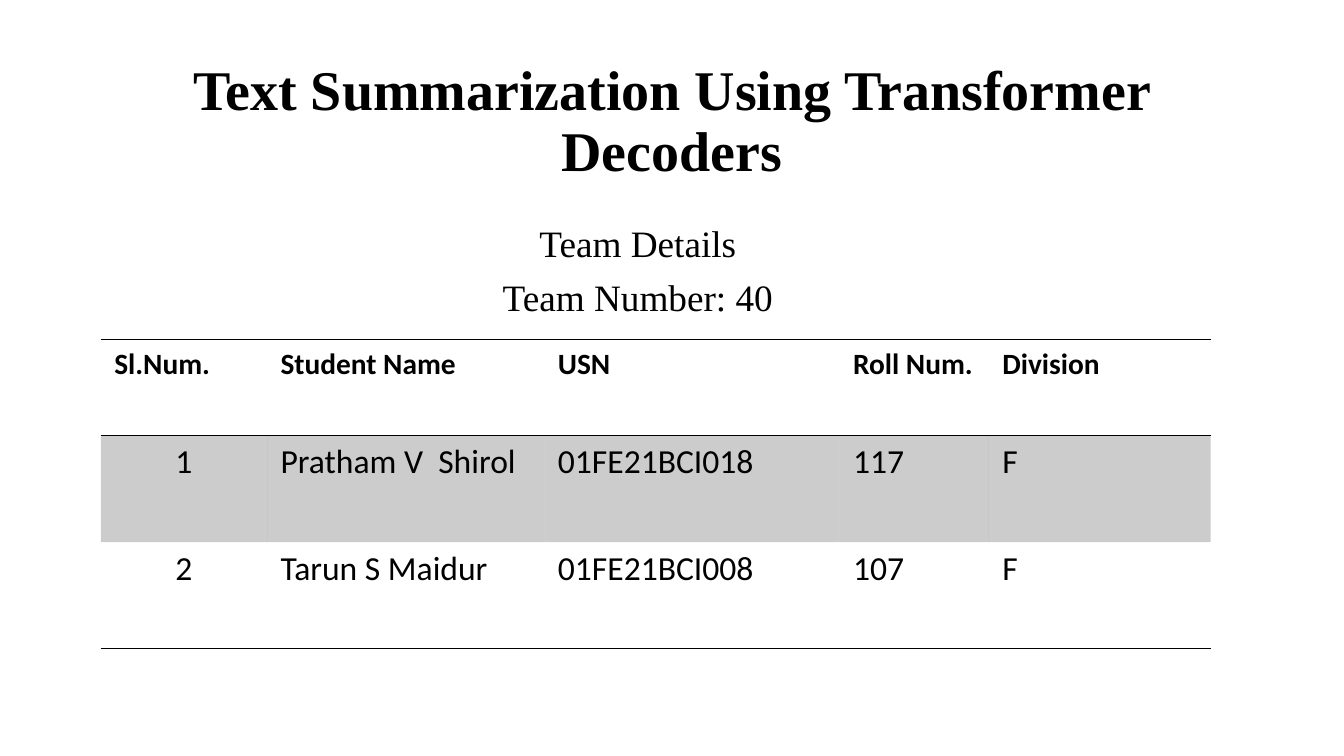
import pptx
import pptx.util
import pptx.dml.color
import pptx.enum.text
import pptx.oxml
import pptx.oxml.ns

Cm = pptx.util.Cm
Pt = pptx.util.Pt
ALIGN = pptx.enum.text.PP_ALIGN
ANCHOR = pptx.enum.text.MSO_ANCHOR
BLACK = pptx.dml.color.RGBColor(0, 0, 0)

SERIF = "Times New Roman"
SANS = "Calibri"
WIDTHS = [4.19, 6.99, 7.44, 3.76, 5.59]
HEIGHTS = [2.41, 2.69, 2.69]
RULES = {0, 1, 3}
ROWS = [
    ["Sl.Num.", "Student Name", "USN", "Roll Num.", "Division"],
    ["1", "Pratham V  Shirol", "01FE21BCI018", "117", "F"],
    ["2", "Tarun S Maidur", "01FE21BCI008", "107", "F"],
]


def apply(item, form):
    for name, value in form.items():
        setattr(item, name, value)


def write(para, text, font, form):
    run = para.add_run()
    run.text = text
    apply(run.font, font)
    run.font.color.rgb = BLACK
    apply(para, form)


def add_text(slide, box, lines, font, form, anchor):
    frame = slide.shapes.add_textbox(*map(Cm, box)).text_frame
    apply(frame, {"word_wrap": True, "vertical_anchor": anchor})
    for index, line in enumerate(lines):
        para = frame.add_paragraph() if index else frame.paragraphs[0]
        write(para, line, font, form)


def add_title(slide, box):
    font = {"name": SERIF, "size": Pt(40), "bold": True}
    form = {"alignment": ALIGN.CENTER, "line_spacing": 0.9}
    add_text(slide, box, ["Text Summarization Using Transformer Decoders"],
             font, form, ANCHOR.BOTTOM)


def add_team(slide, box):
    font = {"name": SERIF, "size": Pt(26.6)}
    form = {"alignment": ALIGN.CENTER, "line_spacing": 0.9,
            "space_before": Pt(10)}
    add_text(slide, box, ["Team Details", "Team Number: 40"],
             font, form, ANCHOR.TOP)


def set_edges(cell, row):
    shown = {"T": row in RULES, "B": row + 1 in RULES}
    props = cell._tc.get_or_add_tcPr()
    for spot, side in enumerate("LRTB"):
        if shown.get(side):
            paint = f'<a:solidFill><a:srgbClr val="{BLACK}"/></a:solidFill>'
        else:
            paint = "<a:noFill/>"
        edge = pptx.oxml.parse_xml(
            f'<a:ln{side} {pptx.oxml.ns.nsdecls("a")} w="{Pt(1)}">'
            f"{paint}</a:ln{side}>")
        props.insert(spot, edge)


def set_fill(cell, shade):
    if not shade:
        cell.fill.background()
        return
    cell.fill.solid()
    cell.fill.fore_color.rgb = BLACK
    color = cell._tc.tcPr.find(".//" + pptx.oxml.ns.qn("a:solidFill") + "[last()]")
    for node in cell._tc.tcPr.findall(pptx.oxml.ns.qn("a:solidFill")):
        color = node[0]
    color.append(pptx.oxml.parse_xml(
        f'<a:alpha {pptx.oxml.ns.nsdecls("a")} val="20000"/>'))


def add_students(slide, box):
    frame = slide.shapes.add_table(len(ROWS), len(WIDTHS), *map(Cm, box))
    table = frame.table
    apply(table, {"first_row": True, "horz_banding": False})
    for col, width in zip(table.columns, WIDTHS):
        col.width = Cm(width)
    for row, height in zip(table.rows, HEIGHTS):
        row.height = Cm(height)
    inset = {"margin_left": Cm(0.34), "margin_right": Cm(0.34),
             "margin_top": Cm(0.17), "margin_bottom": Cm(0.17)}
    for r, texts in enumerate(ROWS):
        head = r == 0
        font = {"name": SANS, "size": Pt(21 if head else 24), "bold": head}
        for c, text in enumerate(texts):
            cell = table.cell(r, c)
            apply(cell, inset)
            middle = c == 0 and not head
            form = {"alignment": ALIGN.CENTER if middle else ALIGN.LEFT}
            write(cell.text_frame.paragraphs[0], text, font, form)
            set_fill(cell, r == 1)
            set_edges(cell, r)


def main():
    deck = pptx.Presentation()
    apply(deck, {"slide_width": Cm(33.87), "slide_height": Cm(19.05)})
    slide = deck.slides.add_slide(deck.slide_layouts[6])
    add_title(slide, (2.54, 0.91, 28.78, 3.84))
    add_team(slide, (4.23, 5.56, 23.7, 4.88))
    add_students(slide, (2.54, 8.56, sum(WIDTHS), sum(HEIGHTS)))
    deck.save("out.pptx")


if __name__ == "__main__":
    main()
